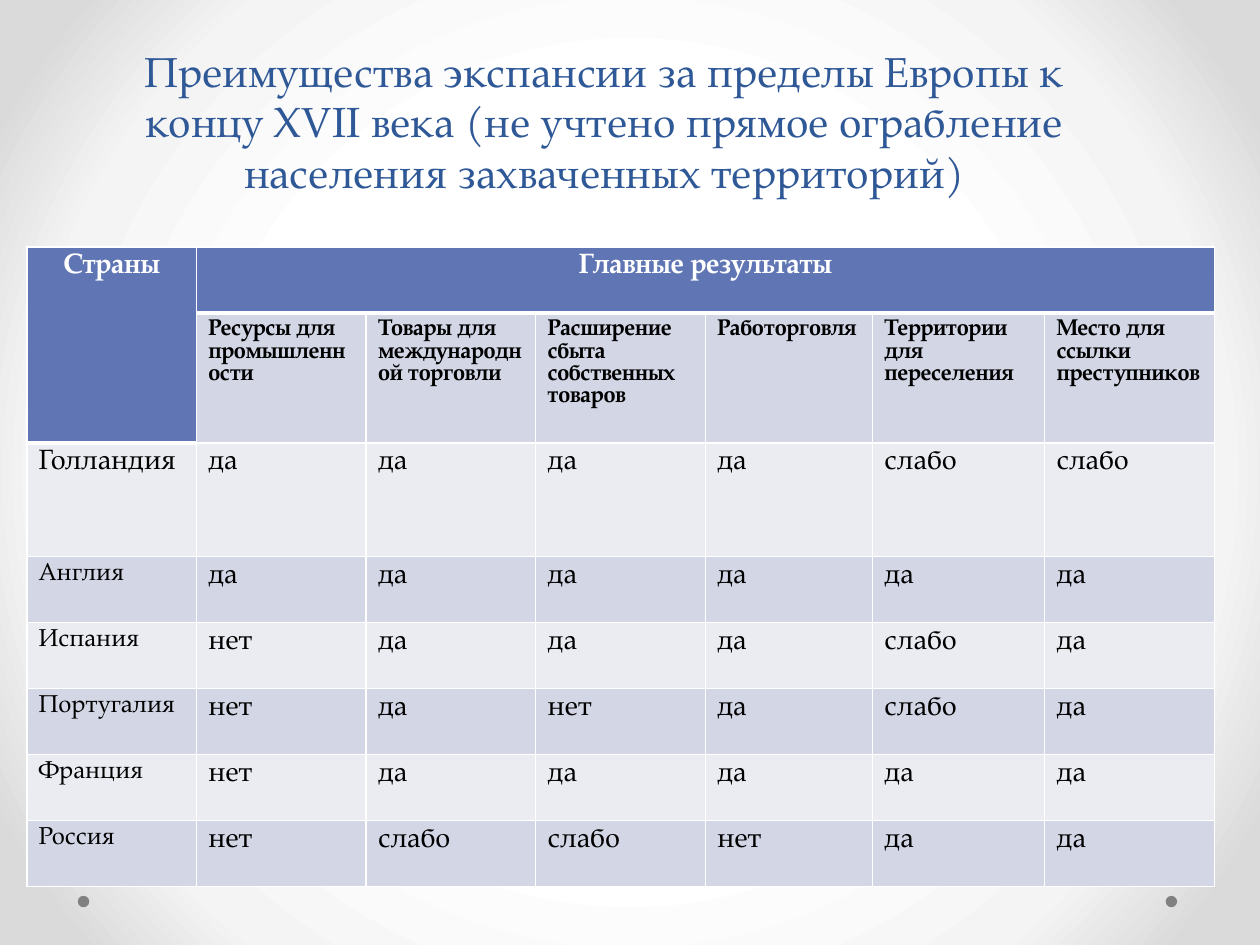
from dataclasses import dataclass

from pptx import Presentation as Deck
from pptx.dml.color import RGBColor as Color
from pptx.enum.shapes import MSO_SHAPE as Form
from pptx.enum.text import MSO_ANCHOR as Anchor, PP_ALIGN as Align
from pptx.oxml import parse_xml as to_xml
from pptx.oxml.ns import nsdecls as names
from pptx.util import Cm, Pt


@dataclass(frozen=True)
class Theme:
    font: str = "TeX Gyre Pagella"
    title: str = "2F5897"
    head: str = "6076B4"
    dark: str = "D2D6E5"
    light: str = "EAECF2"
    white: str = "FFFFFF"
    black: str = "000000"
    dot: str = "808080"
    glow: tuple = ((50, "FFFFFF"), (76, "F4F4F4"), (92, "DADADA"))
    big: float = 24
    lead: float = 28.8
    body: float = 16
    land: float = 14
    goal: float = 13
    thin: float = 1
    thick: float = 3


@dataclass(frozen=True)
class Style:
    size: float
    ink: str
    bold: bool = False
    align: Align = Align.LEFT


@dataclass(frozen=True)
class Land:
    name: str
    marks: tuple
    size: float


@dataclass(frozen=True)
class Dot:
    left: float
    top: float = 18.06
    size: float = 0.23


T = Theme()
TITLE = Style(T.big, T.title, align=Align.CENTER)
HEAD = Style(T.body, T.white, True, Align.CENTER)
GOAL = Style(T.goal, T.black, True)
MARK = Style(T.body, T.black)

GOALS = (
    "Ресурсы для промышленности",
    "Товары для международной торговли",
    "Расширение сбыта собственных товаров",
    "Работорговля",
    "Территории для переселения",
    "Место для ссылки преступников",
)
LANDS = (
    Land("Голландия", ("да", "да", "да", "да", "слабо", "слабо"), T.body),
    Land("Англия", ("да", "да", "да", "да", "да", "да"), T.land),
    Land("Испания", ("нет", "да", "да", "да", "слабо", "да"), T.land),
    Land("Португалия", ("нет", "да", "нет", "да", "слабо", "да"), T.land),
    Land("Франция", ("нет", "да", "да", "да", "да", "да"), T.land),
    Land("Россия", ("нет", "слабо", "слабо", "нет", "да", "да"), T.land),
)
COLS = (3.42, 3.42, 3.42, 3.42, 3.37, 3.47, 3.42)
ROWS = (1.33, 2.62, 2.29) + (1.33,) * 5
DOTS = (Dot(1.57), Dot(23.5))


def write(frame, text: str, style: Style):
    par = frame.paragraphs[0]
    par.alignment = style.align
    run = par.add_run()
    run.text = text
    font = run.font
    font.name, font.size, font.bold = T.font, Pt(style.size), style.bold
    font.color.rgb = Color.from_string(style.ink)
    return par


def paint_back(slide) -> None:
    stops = "".join(
        f'<a:gs pos="{at * 1000}"><a:srgbClr val="{ink}"/></a:gs>'
        for at, ink in T.glow
    )
    slide.element.cSld.insert(0, to_xml(
        f'<p:bg {names("p", "a")}><p:bgPr><a:gradFill rotWithShape="1">'
        f'<a:gsLst>{stops}</a:gsLst><a:path path="circle">'
        '<a:fillToRect l="50000" t="50000" r="50000" b="50000"/></a:path>'
        '</a:gradFill><a:effectLst/></p:bgPr></p:bg>'
    ))


def add_dot(slide, dot: Dot) -> None:
    disc = slide.shapes.add_shape(
        Form.OVAL, Cm(dot.left), Cm(dot.top), Cm(dot.size), Cm(dot.size)
    )
    disc.shadow.inherit = False
    disc.fill.solid()
    disc.fill.fore_color.rgb = Color.from_string(T.dot)
    disc.line.fill.background()


def add_title(slide, text: str) -> None:
    box = slide.shapes.add_textbox(Cm(1.5), Cm(0.64), Cm(21.36), Cm(3.45))
    frame = box.text_frame
    frame.word_wrap = True
    frame.vertical_anchor = Anchor.BOTTOM
    write(frame, text, TITLE).line_spacing = Pt(T.lead)


def add_edges(cell, row: int, col: int) -> None:
    top = (row, col > 0) in ((1, True), (2, False))
    base = row == 0 or (row, col) == (1, 0)
    for side, bold in (("L", False), ("R", False), ("T", top), ("B", base)):
        width = Pt(T.thick if bold else T.thin)
        cell._tc.get_or_add_tcPr().append(to_xml(
            f'<a:ln{side} {names("a")} w="{width}"><a:solidFill>'
            f'<a:srgbClr val="{T.white}"/></a:solidFill></a:ln{side}>'
        ))


def dress(cell, row: int, col: int) -> None:
    add_edges(cell, row, col)
    cell.margin_left = cell.margin_right = Cm(0.24)
    cell.margin_top = cell.margin_bottom = Cm(0.13)
    cell.fill.solid()
    if row == 0 or (row, col) == (1, 0):
        ink = T.head
    else:
        ink = T.dark if row % 2 else T.light
    cell.fill.fore_color.rgb = Color.from_string(ink)


def add_grid(slide) -> None:
    grid = slide.shapes.add_table(
        len(ROWS), len(COLS), Cm(0.54), Cm(4.98), Cm(sum(COLS)), Cm(sum(ROWS))
    ).table
    for col, width in zip(grid.columns, COLS):
        col.width = Cm(width)
    for line, height in zip(grid.rows, ROWS):
        line.height = Cm(height)
    for row in range(len(ROWS)):
        for col in range(len(COLS)):
            dress(grid.cell(row, col), row, col)
    grid.cell(0, 0).merge(grid.cell(1, 0))
    grid.cell(0, 1).merge(grid.cell(0, len(COLS) - 1))
    write(grid.cell(0, 0).text_frame, "Страны", HEAD)
    write(grid.cell(0, 1).text_frame, "Главные результаты", HEAD)
    for col, goal in enumerate(GOALS, 1):
        write(grid.cell(1, col).text_frame, goal, GOAL)
    for row, land in enumerate(LANDS, 2):
        write(grid.cell(row, 0).text_frame, land.name, Style(land.size, T.black))
        for col, mark in enumerate(land.marks, 1):
            write(grid.cell(row, col).text_frame, mark, MARK)


def main() -> None:
    deck = Deck()
    deck.slide_width, deck.slide_height = Cm(25.4), Cm(19.05)
    slide = deck.slides.add_slide(deck.slide_layouts[6])
    paint_back(slide)
    for dot in DOTS:
        add_dot(slide, dot)
    add_title(
        slide,
        "Преимущества экспансии за пределы Европы к концу XVII века "
        "(не учтено прямое ограбление населения захваченных территорий)",
    )
    add_grid(slide)
    deck.save("out.pptx")


if __name__ == "__main__":
    main()
